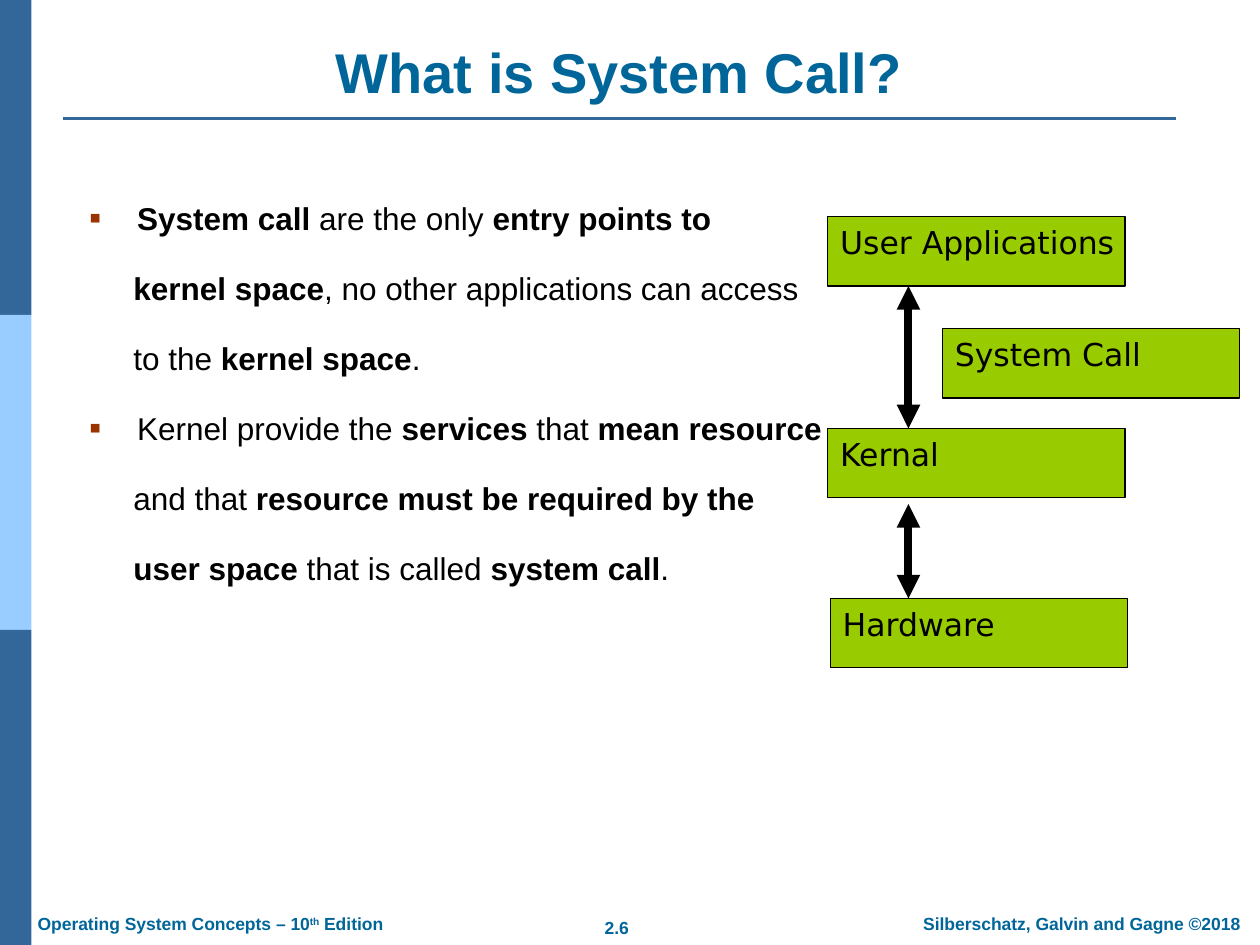
from dataclasses import dataclass

from lxml import etree
from pptx import Presentation
from pptx import util as u
from pptx.dml import color
from pptx.enum import shapes, text
from pptx.oxml import ns

COLORS = {
    "navy": "336699",
    "sky": "99CCFF",
    "teal": "006699",
    "green": "99CC00",
    "rust": "993300",
    "black": "000000",
}
COLUMNS, ROWS = 100, 75
WIDTH, HEIGHT = u.Inches(10), u.Inches(7.5)


@dataclass
class Area:
    column: float
    row: float
    columns: float
    rows: float

    def emu(self) -> list[int]:
        return [col(self.column), row(self.row), col(self.columns), row(self.rows)]


@dataclass
class Layer:
    label: str
    column: float
    row: float


@dataclass
class Line:
    start: tuple[float, float]
    end: tuple[float, float]
    color: str
    weight: float
    arrows: bool = False


@dataclass
class Footer:
    words: str
    area: Area
    align: text.PP_ALIGN


def col(count: float) -> int:
    return round(WIDTH * count / COLUMNS)


def row(count: float) -> int:
    return round(HEIGHT * count / ROWS)


def rgb(name: str) -> color.RGBColor:
    return color.RGBColor.from_string(COLORS[name])


def add_child(parent, tag: str, **attributes):
    child = etree.SubElement(parent, ns.qn(tag))
    for key, value in attributes.items():
        child.set(key, value)
    return child


def write(para, words: str, *, size: float, font="Arial", ink="black",
          bold=False, align=text.PP_ALIGN.LEFT) -> None:
    """Asterisks toggle bold; carets enclose superscript."""
    para.alignment = align
    for index, part in enumerate(words.split("*")):
        for level, piece in enumerate(part.split("^")):
            if not piece:
                continue
            span = para.add_run()
            span.text = piece
            span.font.size = u.Pt(size)
            span.font.name = font
            span.font.bold = bold != (index % 2 == 1)
            span.font.color.rgb = rgb(ink)
            if level % 2:
                span.font._element.set("baseline", "30000")


def add_box(page, area: Area, fill: str, line: str | None = None):
    box = page.shapes.add_shape(shapes.MSO_SHAPE.RECTANGLE, *area.emu())
    box.shadow.inherit = False
    box.fill.solid()
    box.fill.fore_color.rgb = rgb(fill)
    if line:
        box.line.color.rgb = rgb(line)
        box.line.width = u.Pt(0.75)
    else:
        box.line.fill.background()
    return box


def add_text(page, area: Area, anchor=text.MSO_ANCHOR.TOP):
    frame = page.shapes.add_textbox(*area.emu()).text_frame
    frame.word_wrap = True
    frame.vertical_anchor = anchor
    return frame


def add_layer(page, layer: Layer) -> None:
    box = add_box(page, Area(layer.column, layer.row, 23.6, 5.5), "green", "black")
    frame = box.text_frame
    frame.word_wrap = False
    frame.vertical_anchor = text.MSO_ANCHOR.TOP
    write(frame.paragraphs[0], layer.label, size=18, font="DejaVu Sans")


def add_line(page, line: Line) -> None:
    connector = page.shapes.add_connector(
        shapes.MSO_CONNECTOR.STRAIGHT,
        col(line.start[0]), row(line.start[1]), col(line.end[0]), row(line.end[1]))
    connector.line.color.rgb = rgb(line.color)
    connector.line.width = u.Pt(line.weight)
    if line.arrows:
        for tag in ("a:headEnd", "a:tailEnd"):
            add_child(connector.line._get_or_add_ln(), tag, type="triangle")
    add_child(connector._element.spPr, "a:effectLst")


def add_points(page, points: list[list[str]]) -> None:
    frame = add_text(page, Area(6.1, 13.5, 87.2, 57.3))
    frame.margin_top = u.Inches(0.08)
    for point in points:
        for index, words in enumerate(point):
            first = point is points[0] and index == 0
            para = frame.paragraphs[0] if first else frame.add_paragraph()
            para.line_spacing = 1.5
            para.space_before = u.Pt(0 if first else 7.6)
            properties = para._p.get_or_add_pPr()
            indent = u.Inches(0.35 if index else 0.38)
            properties.set("marL", str(indent))
            properties.set("indent", str(0 if index else -indent))
            if index == 0:
                bullet_color = add_child(properties, "a:buClr")
                add_child(bullet_color, "a:srgbClr", val=COLORS["rust"])
                add_child(properties, "a:buSzPct", val="110000")
                add_child(properties, "a:buFont", typeface="Arial")
                add_child(properties, "a:buChar", char="▪")
            write(para, words, size=18)


STRIPES = ["navy", "sky", "navy"]
FOOTERS = [
    Footer("2.6", Area(46.5, 72.3, 4.9, 2.7), text.PP_ALIGN.CENTER),
    Footer("Silberschatz, Galvin and Gagne ©2018", Area(71, 72, 29.7, 2.7),
           text.PP_ALIGN.CENTER),
    Footer("Operating System Concepts – 10^th^ Edition", Area(2, 72, 29.9, 2.7),
           text.PP_ALIGN.LEFT),
]
POINTS = [
    ["*System call* are the only *entry points to*",
     "*kernel space*, no other applications can access",
     "to the *kernel space*."],
    ["Kernel provide the *services* that *mean resource*",
     "and that *resource must be required by the*",
     "*user space* that is called *system call*."],
]
LAYERS = [
    Layer("User Applications", 65.7, 17.2),
    Layer("Kernal", 65.7, 34),
    Layer("Hardware", 65.9, 47.5),
    Layer("System Call", 74.8, 26.1),
]
LINES = [
    Line((5, 9.4), (93.3, 9.4), "navy", 1.5),
    Line((72.1, 22.7), (72.1, 34), "black", 4.5, arrows=True),
    Line((72.1, 40), (72.1, 47.5), "black", 4.5, arrows=True),
]


def main() -> None:
    deck = Presentation()
    deck.slide_width, deck.slide_height = WIDTH, HEIGHT
    page = deck.slides.add_slide(deck.slide_layouts[6])
    stripe_rows = ROWS / len(STRIPES)
    for index, fill in enumerate(STRIPES):
        add_box(page, Area(0, index * stripe_rows, 2.5, stripe_rows), fill)
    for footer in FOOTERS:
        frame = add_text(page, footer.area)
        write(frame.paragraphs[0], footer.words, size=10, ink="teal", bold=True,
              align=footer.align)
    title = add_text(page, Area(5, 2.5, 88.3, 6.3), text.MSO_ANCHOR.BOTTOM)
    write(title.paragraphs[0], "What is System Call?", size=32, ink="teal",
          bold=True, align=text.PP_ALIGN.CENTER)
    add_points(page, POINTS)
    for layer in LAYERS:
        add_layer(page, layer)
    for line in LINES:
        add_line(page, line)
    deck.save("out.pptx")


if __name__ == "__main__":
    main()
